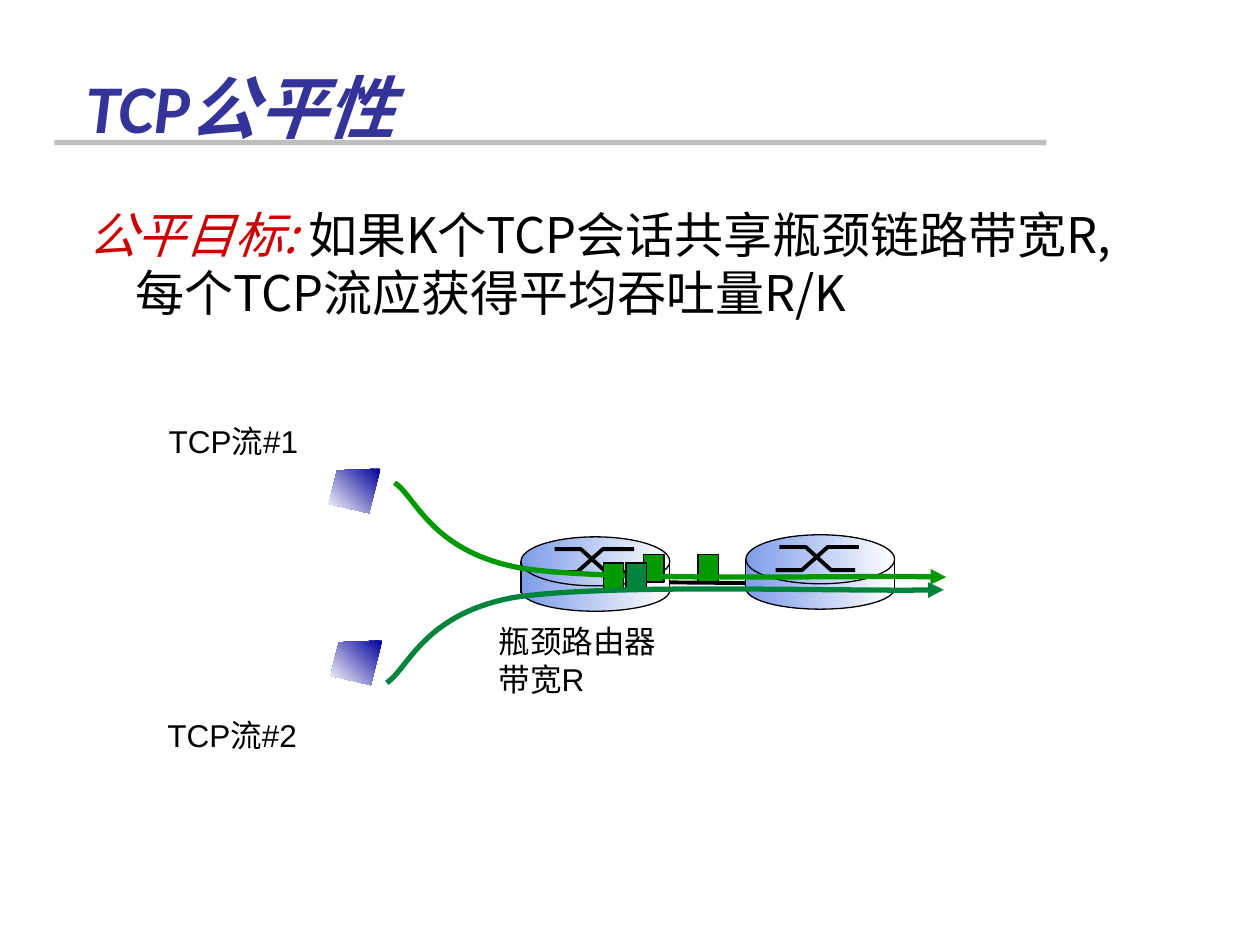
from pptx import Presentation
from pptx.dml.color import RGBColor
from pptx.enum.shapes import MSO_CONNECTOR, MSO_SHAPE
from pptx.enum.text import MSO_ANCHOR
from pptx.oxml.ns import qn
from pptx.util import Pt
from lxml.etree import SubElement

INK = {"black": "000000", "rule": "BFBFBF", "title": "333399", "red": "CC0000",
       "green": "009900", "teal": "00843C", "blue": "7E9CE8", "navy": "000099",
       "white": "FFFFFF"}


class Deck:
    def __init__(self):
        self.file = Presentation()
        self.file.slide_width, self.file.slide_height = Pt(720), Pt(540)
        self.slide = self.file.slides.add_slide(self.file.slide_layouts[6])
        self.shapes = self.slide.shapes

    def color(self, name):
        return RGBColor.from_string(INK[name])

    def paint(self, shape, fill=None, line=None, width=0.75, angle=0):
        shape.shadow.inherit = False
        if fill is None:
            shape.fill.background()
        elif isinstance(fill, tuple):
            shape.fill.gradient()
            shape.fill.gradient_angle = angle
            for stop, name in zip(shape.fill.gradient_stops, fill):
                stop.color.rgb = self.color(name)
        else:
            shape.fill.solid()
            shape.fill.fore_color.rgb = self.color(fill)
        if line:
            shape.line.color.rgb = self.color(line)
            shape.line.width = Pt(width)
        else:
            shape.line.fill.background()

    def form(self, kind, x, y, w, h, fill, line=None):
        shape = self.shapes.add_shape(kind, Pt(x), Pt(y), Pt(w), Pt(h))
        self.paint(shape, fill, line)

    def line(self, x1, y1, x2, y2, width=0.75):
        wire = self.shapes.add_connector(MSO_CONNECTOR.STRAIGHT, Pt(x1), Pt(y1), Pt(x2), Pt(y2))
        wire.line.color.rgb = self.color("black")
        wire.line.width = Pt(width)
        SubElement(wire._element.spPr, qn("a:effectLst"))

    def free(self, points, close=False, **style):
        spots = [(Pt(x), Pt(y)) for x, y in points]
        pen = self.shapes.build_freeform(*spots[0], scale=1.0)
        pen.add_line_segments(spots[1:], close=close)
        shape = pen.convert_to_shape()
        self.paint(shape, **style)
        return shape

    def flow(self, points, color):
        shape = self.free(points, line=color, width=3)
        route = next(shape._element.iter(qn("a:path")))
        steps = route.findall(qn("a:lnTo"))
        for i in range(0, len(steps), 3):
            curve = SubElement(route, qn("a:cubicBezTo"))
            for step in steps[i:i + 3]:
                curve.append(step[0])
                route.remove(step)
        SubElement(shape.line._get_or_add_ln(), qn("a:tailEnd"), type="triangle")

    def text(self, x, y, w, h, lines, size, font, bold=False, anchor=MSO_ANCHOR.TOP,
             space=None, hang=0):
        frame = self.shapes.add_textbox(Pt(x), Pt(y), Pt(w), Pt(h)).text_frame
        frame.word_wrap = True
        frame.vertical_anchor = anchor
        for i, runs in enumerate(lines):
            para = frame.add_paragraph() if i else frame.paragraphs[0]
            if space:
                para.line_spacing = Pt(space)
            if hang:
                props = para._p.get_or_add_pPr()
                props.set("marL", str(Pt(hang)))
                props.set("indent", str(-Pt(hang)))
            for words, color, slant in runs:
                run = para.add_run()
                run.text = words
                run.font.size, run.font.name = Pt(size), font
                run.font.bold, run.font.italic = bold, slant
                run.font.color.rgb = self.color(color)

    def label(self, x, y, w, h, *lines):
        self.text(x, y, w, h, [[(words, "black", False)] for words in lines], 18, "Arial")

    def router(self, x, y):
        fade = ("blue", "white")
        self.form(MSO_SHAPE.OVAL, x, y + 18.7, 85, 23.8, fade, "black")
        self.form(MSO_SHAPE.RECTANGLE, x, y + 16.4, 85, 14.4, fade)
        self.form(MSO_SHAPE.OVAL, x, y, 85, 28, fade, "black")
        for start, end, xs in ((20.2, 7, (17, 32, 46.8, 64.6)), (7, 20.2, (19.2, 34.2, 48.8, 62.4))):
            points = [(x + dx, y + dy) for dx, dy in zip(xs, (start, start, end, end))]
            self.free(points, line="black", width=2.25)
        for side in (x, x + 85):
            self.line(side, y + 13.7, side, y + 32)

    def packet(self, x, y, color):
        self.form(MSO_SHAPE.RECTANGLE, x, y, 11.6, 15.8, color, "black")

    def host(self, x, y):
        shape = [(29.5, 0), (4.7, 1), (0, 20.2), (23, 25.5)]
        self.free([(x + dx, y + dy) for dx, dy in shape], close=True,
                  fill=("navy", "white"), angle=225)


def main():
    deck = Deck()
    deck.form(MSO_SHAPE.RECTANGLE, 31, 80, 567, 3, "rule")
    deck.line(382.3, 332.8, 426.2, 333.2, 2.25)
    deck.router(297.7, 306.8)
    deck.router(426.2, 305.6)
    deck.text(43.2, 114, 600, 79.2,
              [[("公平目标: ", "red", True),
                ("如果K个TCP会话共享瓶颈链路带宽R, 每个TCP流应获得平均吞吐量R/K", "black", False)]],
              28, "Noto Sans CJK SC", space=33, hang=27.36)
    for x, y in ((398.9, 316.8), (344.9, 321.8), (367.9, 316.8)):
        deck.packet(x, y, "green")
    deck.label(89.3, 237.6, 89.3, 28.8, "TCP流#1")
    deck.label(277.9, 352, 106, 51, "瓶颈路由器", "带宽R")
    deck.flow([(225.4, 275.8), (237.6, 283.7), (246.2, 315.4), (298.1, 324.7),
               (350.6, 332.6), (490.3, 328.3), (540.7, 329.8)], "green")
    deck.packet(357.8, 321.8, "teal")
    deck.flow([(221, 390.2), (233.3, 382.3), (241.9, 350.6), (294.5, 341.3),
               (347.8, 333.4), (488.9, 338.4), (539.3, 337)], "teal")
    deck.text(41.8, -2.2, 612, 90, [[("TCP公平性", "title", True)]], 39, "Calibri",
              bold=True, anchor=MSO_ANCHOR.BOTTOM)
    deck.label(88.6, 405.4, 89.3, 28.8, "TCP流#2")
    deck.host(187.9, 267.8)
    deck.host(188.9, 366)
    deck.file.save("out.pptx")


if __name__ == "__main__":
    main()
